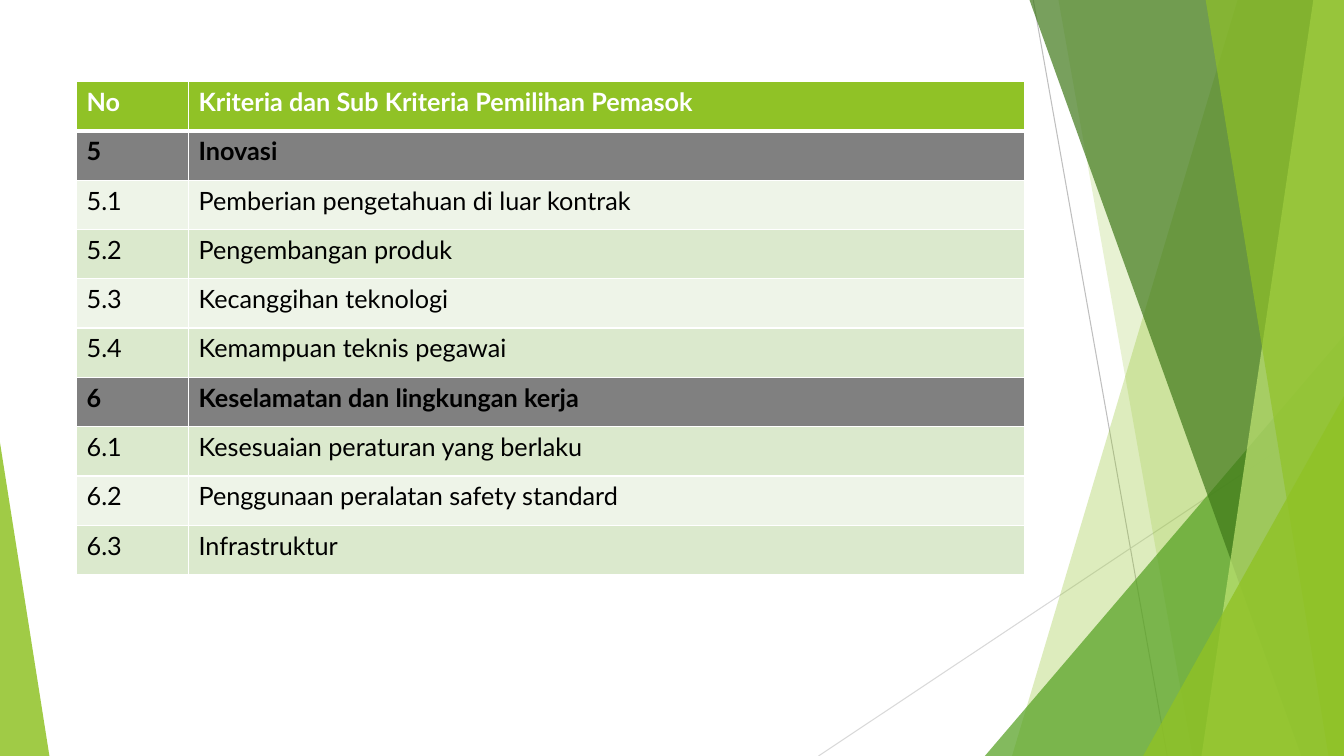
from dataclasses import dataclass

from lxml import etree
from pptx import Presentation
from pptx import util as u
from pptx.dml.color import RGBColor
from pptx.enum import shapes
from pptx.oxml import parse_xml
from pptx.oxml.ns import nsdecls, qn

WIDTH, HEIGHT = u.Inches(13.333), u.Inches(7.5)
TOP = -0.11
LIME, LEAF, FOREST, PALE = "90C226", "54A021", "3F7819", "C0E474"
GREY, LIGHT, MINT = "808080", "EEF4E8", "DBE9CD"
WHITE, BLACK = "FFFFFF", "000000"


@dataclass
class Line:
    start: tuple[float, float]
    end: tuple[float, float]
    color: str


@dataclass
class Panel:
    top_left: float
    bottom_left: float
    color: str
    alpha: int


@dataclass
class Triangle:
    left: float
    top: float
    width: float
    apex: int
    color: str
    alpha: int


@dataclass
class Row:
    no: str
    label: str


LINES = [
    Line((76.88, 0), (86.85, 100), "BFBFBF"),
    Line((100, 53.73), (60.9, 100), "D9D9D9"),
]
FACETS = [
    Panel(92.1, 75.3, LIME, 30),
    Panel(78.75, 88.73, LIME, 20),
    Triangle(73.28, 44.4, 26.72, 1, LEAF, 72),
    Panel(76.58, 96.83, FOREST, 70),
    Panel(97.73, 89.4, PALE, 70),
    Panel(89.7, 98.85, LIME, 65),
    Triangle(85.05, 52.4, 14.95, 1, LIME, 80),
    Triangle(0, 58.53, 3.68, 0, LIME, 85),
]
ROWS = [
    Row("No", "Kriteria dan Sub Kriteria Pemilihan Pemasok"),
    Row("5", "Inovasi"),
    Row("5.1", "Pemberian pengetahuan di luar kontrak"),
    Row("5.2", "Pengembangan produk"),
    Row("5.3", "Kecanggihan teknologi"),
    Row("5.4", "Kemampuan teknis pegawai"),
    Row("6", "Keselamatan dan lingkungan kerja"),
    Row("6.1", "Kesesuaian peraturan yang berlaku"),
    Row("6.2", "Penggunaan peralatan safety standard"),
    Row("6.3", "Infrastruktur"),
]
COLUMNS = (8.33, 62.18)
ROW_HEIGHT = 6.52


def x(percent: float) -> int:
    return round(WIDTH * percent / 100)


def y(percent: float) -> int:
    return round(HEIGHT * percent / 100)


def rgb(color: str) -> RGBColor:
    return RGBColor.from_string(color)


def paint(sp, color: str, alpha: int) -> None:
    sp.shadow.inherit = False
    sp.fill.solid()
    sp.fill.fore_color.rgb = rgb(color)
    sp.line.fill.background()
    tint = sp._element.spPr.find(qn("a:solidFill"))[0]
    etree.SubElement(tint, qn("a:alpha"), val=str(alpha * 1000))


def draw_line(s, line: Line) -> None:
    (x1, y1), (x2, y2) = line.start, line.end
    cn = s.shapes.add_connector(shapes.MSO_CONNECTOR.STRAIGHT, x(x1), y(y1), x(x2), y(y2))
    cn.line.width = u.Pt(0.75)
    cn.line.color.rgb = rgb(line.color)
    etree.SubElement(cn._element.spPr, qn("a:effectLst"))


def draw_panel(s, panel: Panel) -> None:
    fb = s.shapes.build_freeform(x(panel.top_left), y(TOP))
    corners = [(100, TOP), (100, 100), (panel.bottom_left, 100)]
    fb.add_line_segments([(x(cx), y(cy)) for cx, cy in corners], close=True)
    paint(fb.convert_to_shape(), panel.color, panel.alpha)


def draw_triangle(s, tri: Triangle) -> None:
    sp = s.shapes.add_shape(
        shapes.MSO_SHAPE.ISOSCELES_TRIANGLE,
        x(tri.left), y(tri.top), x(tri.width), y(100 - tri.top),
    )
    sp.adjustments[0] = tri.apex
    paint(sp, tri.color, tri.alpha)


def set_borders(cell, top: int, bottom: int) -> None:
    tcPr = cell._tc.get_or_add_tcPr()
    for side, points in {"L": 1, "R": 1, "T": top, "B": bottom}.items():
        tcPr.append(parse_xml(
            f'<a:ln{side} {nsdecls("a")} w="{u.Pt(points)}"><a:solidFill>'
            f'<a:srgbClr val="{WHITE}"/></a:solidFill></a:ln{side}>'
        ))


def row_fill(i: int, row: Row) -> str:
    if i == 0:
        return LIME
    if "." not in row.no:
        return GREY
    return MINT if i % 2 else LIGHT


def draw_table(s, rows: list[Row]) -> None:
    tbl = s.shapes.add_table(
        len(rows), len(COLUMNS), x(5.7), y(10.8), x(sum(COLUMNS)), y(ROW_HEIGHT * len(rows))
    ).table
    for column, width in zip(tbl.columns, COLUMNS):
        column.width = x(width)
    for i, row in enumerate(rows):
        tbl.rows[i].height = y(ROW_HEIGHT)
        style = {"name": "Lato", "size": u.Pt(18), "bold": "." not in row.no}
        for j, content in enumerate((row.no, row.label)):
            cell = tbl.cell(i, j)
            set_borders(cell, 3 if i == 1 else 1, 3 if i == 0 else 1)
            cell.fill.solid()
            cell.fill.fore_color.rgb = rgb(row_fill(i, row))
            r = cell.text_frame.paragraphs[0].add_run()
            r.text = content
            for key, value in style.items():
                setattr(r.font, key, value)
            r.font.color.rgb = rgb(BLACK if i else WHITE)


def main() -> None:
    prs = Presentation()
    prs.slide_width, prs.slide_height = WIDTH, HEIGHT
    s = prs.slides.add_slide(prs.slide_layouts[6])
    for line in LINES:
        draw_line(s, line)
    draw = {Panel: draw_panel, Triangle: draw_triangle}
    for facet in FACETS:
        draw[type(facet)](s, facet)
    draw_table(s, ROWS)
    prs.save("out.pptx")


if __name__ == "__main__":
    main()
